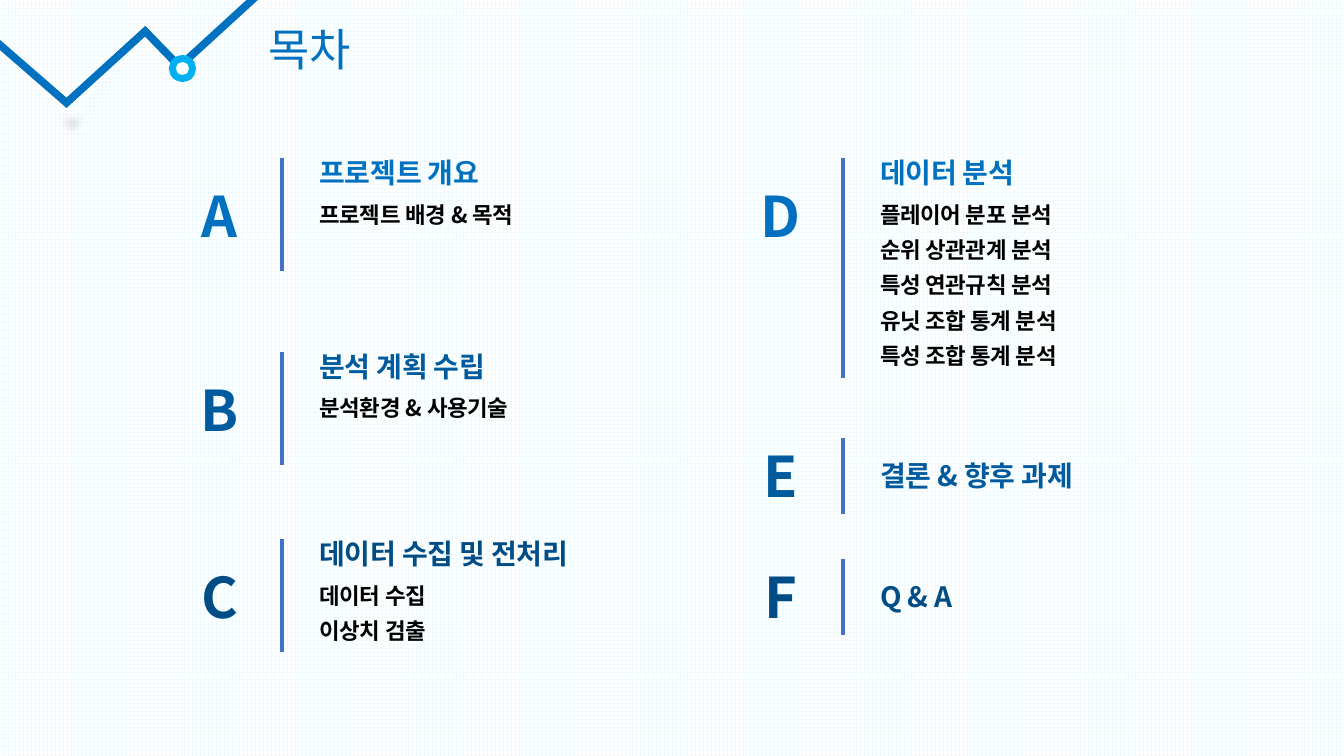
from dataclasses import dataclass

import pptx
import pptx.dml.color
import pptx.enum.dml
import pptx.enum.shapes
import pptx.enum.text
import pptx.oxml
import pptx.oxml.ns
import pptx.util

RGBColor = pptx.dml.color.RGBColor
Anchor = pptx.enum.text.MSO_ANCHOR
Align = pptx.enum.text.PP_ALIGN

PX = 9144  # EMU per px, 100 px to the inch
FONT = "Noto Sans CJK KR"
BLUE = RGBColor(0x00, 0x70, 0xC0)
MID_BLUE = RGBColor(0x00, 0x5A, 0x9E)
DEEP_BLUE = RGBColor(0x00, 0x4D, 0x86)
SKY = RGBColor(0x00, 0xB0, 0xF0)
RULE_BLUE = RGBColor(0x44, 0x72, 0xC4)
PALE = RGBColor(0xEF, 0xFB, 0xFF)
WHITE = RGBColor(0xFF, 0xFF, 0xFF)
BLACK = RGBColor(0x00, 0x00, 0x00)

LEFT_COLUMN, RIGHT_COLUMN = 161, 717
RULE_OFFSET, TEXT_OFFSET = 119, 146
ITEM_OFFSET, ITEM_PITCH = 37, 35


@dataclass(frozen=True)
class Section:
    letter: str
    title: str
    color: RGBColor
    left: int
    top: int
    height: int
    items: tuple[str, ...] = ()
    title_width: int = 231


SECTIONS = [
    Section("A", "프로젝트 개요", BLUE, LEFT_COLUMN, 157, 112, ("프로젝트 배경 & 목적",)),
    Section("B", "분석 계획 수립", MID_BLUE, LEFT_COLUMN, 349, 112, ("분석환경 & 사용기술",)),
    Section("C", "데이터 수집 및 전처리", DEEP_BLUE, LEFT_COLUMN, 535, 112,
            ("데이터 수집", "이상치 검출"), title_width=295),
    Section("D", "데이터 분석", BLUE, RIGHT_COLUMN, 157, 218,
            ("플레이어 분포 분석", "순위 상관관계 분석", "특성 연관규칙 분석",
             "유닛 조합 통계 분석", "특성 조합 통계 분석")),
    Section("E", "결론 & 향후 과제", MID_BLUE, RIGHT_COLUMN, 435, 75),
    Section("F", "Q & A", DEEP_BLUE, RIGHT_COLUMN, 555, 75),
]


def element(tag: str, attributes: str = "", inner: str = ""):
    namespace = pptx.oxml.ns.nsdecls("a")
    return pptx.oxml.parse_xml(f"<a:{tag} {namespace} {attributes}>{inner}</a:{tag}>")


def add_text(page, text: str, left: int, top: int, width: int, height: int, *,
             size: int, color: RGBColor, bold: bool = True, spacing: int = 0,
             anchor=Anchor.BOTTOM, align=Align.LEFT) -> None:
    box = page.shapes.add_textbox(left * PX, top * PX, width * PX, height * PX)
    frame = box.text_frame
    frame.word_wrap = True
    frame.auto_size = pptx.enum.text.MSO_AUTO_SIZE.SHAPE_TO_FIT_TEXT
    frame.vertical_anchor = anchor
    para = frame.paragraphs[0]
    para.alignment = align
    span = para.add_run()
    span.text = text
    span.font.size = pptx.util.Pt(size)
    span.font.bold = bold
    span.font.color.rgb = color
    span.font.name = FONT
    properties = span.font._element
    properties.append(element("ea", f'typeface="{FONT}"'))
    if spacing:
        properties.set("spc", str(spacing))


def add_polyline(page, points: list[tuple[int, int]], color: RGBColor, weight: float):
    builder = page.shapes.build_freeform(*points[0], scale=PX)
    builder.add_line_segments(points[1:], close=False)
    shape = builder.convert_to_shape()
    shape.shadow.inherit = False
    shape.fill.background()
    shape.line.color.rgb = color
    shape.line.width = pptx.util.Pt(weight)
    shape.line._ln.append(element("miter", 'lim="800000"'))
    return shape


def add_section(page, section: Section) -> None:
    # Vertical rule
    x = section.left + RULE_OFFSET
    rule = page.shapes.add_connector(
        pptx.enum.shapes.MSO_CONNECTOR.STRAIGHT,
        x * PX, section.top * PX, x * PX, (section.top + section.height) * PX)
    rule.line.color.rgb = RULE_BLUE
    rule.line.width = pptx.util.Pt(3)
    rule._element.spPr.append(element("effectLst"))

    # Letter, title and items
    letter_shift, title_shift = (18, -8) if section.items else (-2, 14)
    text_left = section.left + TEXT_OFFSET
    add_text(page, section.letter, section.left, section.top + letter_shift, 114, 77,
             size=40, color=section.color, spacing=-220,
             anchor=Anchor.MIDDLE, align=Align.CENTER)
    add_text(page, section.title, text_left, section.top + title_shift,
             section.title_width, 44, size=20, color=section.color, spacing=-20)
    for index, item in enumerate(section.items):
        top = section.top + ITEM_OFFSET + index * ITEM_PITCH
        add_text(page, item, text_left, top, 231, 37, size=16, color=BLACK, spacing=-20)


def add_header(page) -> None:
    # Soft shade under the zigzag
    shade = add_polyline(page, [(0, 46), (72, 129), (143, 30)], BLACK, 16.75)
    shade_color = shade.line._ln.find(".//" + pptx.oxml.ns.qn("a:srgbClr"))
    shade_color.append(element("alpha", 'val="14000"'))
    effects = shade._element.spPr.find(pptx.oxml.ns.qn("a:effectLst"))
    effects.append(element("softEdge", 'rad="76200"'))

    # Zigzag with its ring
    add_polyline(page, [(-3, 42), (66, 102), (144, 31), (178, 66), (261, -10)], BLUE, 5.5)
    ring = page.shapes.add_shape(
        pptx.enum.shapes.MSO_SHAPE.OVAL, 171 * PX, 58 * PX, 20 * PX, 20 * PX)
    ring.shadow.inherit = False
    ring.fill.solid()
    ring.fill.fore_color.rgb = WHITE
    ring.line.color.rgb = SKY
    ring.line.width = pptx.util.Pt(5)

    add_text(page, "목차", 256, 17, 1025, 64, size=32, color=BLUE, bold=False,
             anchor=Anchor.TOP)


def main() -> None:
    deck = pptx.Presentation()
    deck.slide_width, deck.slide_height = 1333 * PX, 750 * PX
    page = deck.slides.add_slide(deck.slide_layouts[6])

    # Grid background
    fill = page.background.fill
    fill.patterned()
    fill.pattern = pptx.enum.dml.MSO_PATTERN.LARGE_GRID
    fill.fore_color.rgb = PALE
    fill.back_color.rgb = WHITE

    add_header(page)
    for section in SECTIONS:
        add_section(page, section)
    deck.save("out.pptx")


if __name__ == "__main__":
    main()
